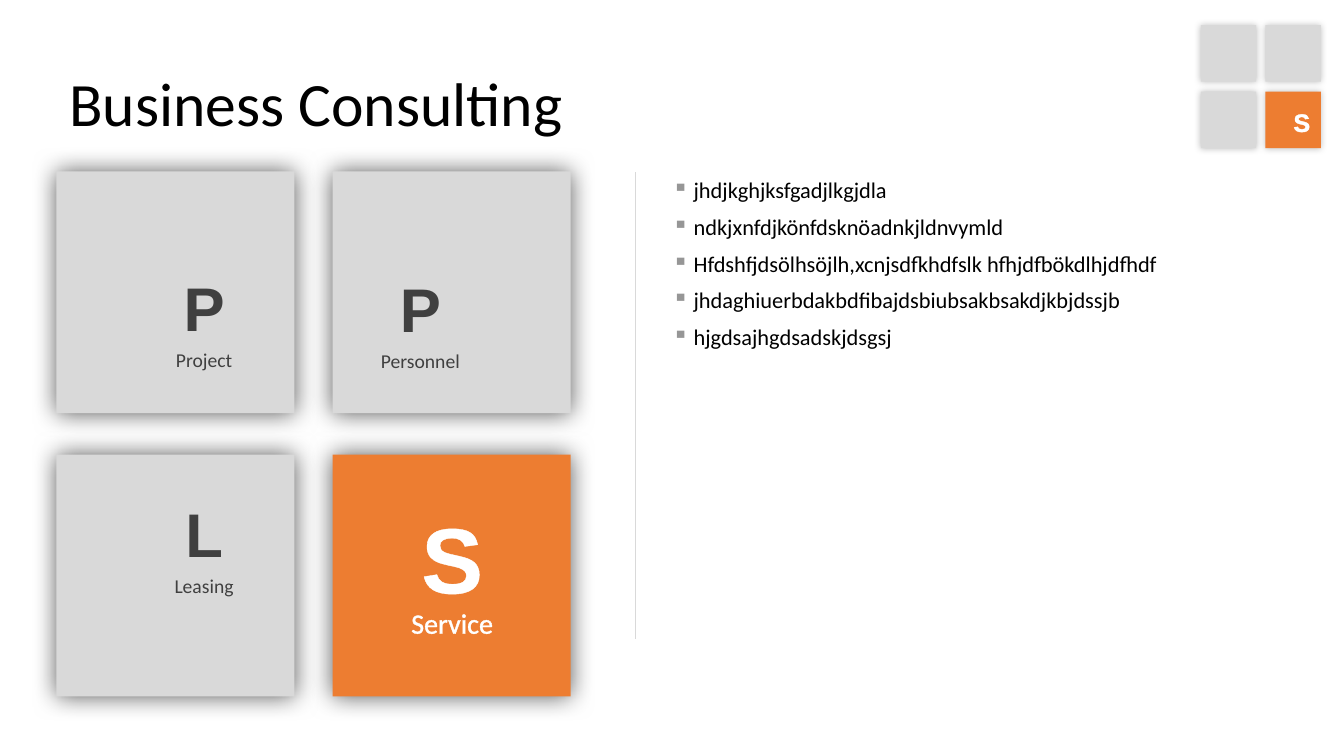
import pptx
import pptx.dml.color
import pptx.enum.shapes
import pptx.enum.text
import pptx.oxml
import pptx.oxml.ns
import pptx.util
from lxml import etree

RGBColor = pptx.dml.color.RGBColor
Inches = pptx.util.Inches
Pt = pptx.util.Pt
qn = pptx.oxml.ns.qn
ALIGN = pptx.enum.text.PP_ALIGN
ANCHOR = pptx.enum.text.MSO_ANCHOR
AUTO_SIZE = pptx.enum.text.MSO_AUTO_SIZE
RECTANGLE = pptx.enum.shapes.MSO_SHAPE.RECTANGLE
STRAIGHT = pptx.enum.shapes.MSO_CONNECTOR.STRAIGHT

GREY = RGBColor(0xD9, 0xD9, 0xD9)
ORANGE = RGBColor(0xED, 0x7D, 0x31)
DARK = RGBColor(0x40, 0x40, 0x40)
BULLET_GREY = RGBColor(0x96, 0x96, 0x96)
BLACK = RGBColor(0, 0, 0)
WHITE = RGBColor(0xFF, 0xFF, 0xFF)

TILE_LABELS = [
    ("P", "Project", 1.465, 0.93),
    ("P", "Personnel", 0.87, 0.94),
    ("L", "Leasing", 1.465, 0.36),
    ("S", "Service", 1.185, 0.41),
]
BULLETS = [
    "jhdjkghjksfgadjlkgjdla",
    "ndkjxnfdjkönfdsknöadnkjldnvymld",
    "Hfdshfjdsölhsöjlh,xcnjsdfkhdfslk hfhjdfbökdlhjdfhdf",
    "jhdaghiuerbdakbdfibajdsbiubsakbsakdjkbjdssjb",
    "hjgdsajhgdsadskjdsgsj",
]


def add_child(parent, tag, **attributes):
    return etree.SubElement(parent, qn(tag), attributes)


def add_color(parent, color, tag="a:solidFill"):
    return add_child(add_child(parent, tag), "a:srgbClr", val=str(color))


def set_font(paragraph, size, color, name="Calibri", bold=False):
    font = paragraph.font
    font.size = Pt(size)
    font.name = name
    font.bold = bold
    font.color.rgb = color


def outline_text(paragraph, color):
    line = etree.Element(qn("a:ln"), w=str(Pt(0.75)))
    add_color(line, color)
    paragraph._p.pPr.find(qn("a:defRPr")).insert(0, line)


def add_text_box(shapes, left, top, width, height):
    box = shapes.add_textbox(Inches(left), Inches(top), Inches(width), Inches(height))
    box.text_frame.word_wrap = True
    return box.text_frame


def add_caption(shapes, text, center, top, width, height, size, color, **font):
    frame = add_text_box(shapes, center - width / 2, top, width, height)
    frame.auto_size = AUTO_SIZE.SHAPE_TO_FIT_TEXT
    paragraph = frame.paragraphs[0]
    paragraph.text = text
    paragraph.alignment = ALIGN.CENTER
    set_font(paragraph, size, color, **font)
    if color == WHITE:
        outline_text(paragraph, WHITE)


def add_tile(shapes, left, top, width, height, color, blur, opacity):
    tile = shapes.add_shape(RECTANGLE, Inches(left), Inches(top), Inches(width), Inches(height))
    tile.fill.solid()
    tile.fill.fore_color.rgb = color
    tile.line.fill.background()
    tile.shadow.inherit = False
    effects = tile._element.spPr.find(qn("a:effectLst"))
    shadow = add_child(effects, "a:outerShdw", blurRad=str(Pt(blur)), dist="0",
                       dir="0", algn="ctr", rotWithShape="0")
    shadow_color = add_child(shadow, "a:srgbClr", val=str(BLACK))
    add_child(shadow_color, "a:alpha", val=str(opacity * 1000))


def add_tile_grid(shapes, left, top, width, height, step_x, step_y, blur, opacity):
    corners = [(left + column * step_x, top + row * step_y)
               for row in range(2) for column in range(2)]
    for index, (x, y) in enumerate(corners):
        color = ORANGE if index == 3 else GREY
        add_tile(shapes, x, y, width, height, color, blur, opacity)
    return corners


def add_service_tiles(slide, left, top):
    shapes = slide.shapes.add_group_shape().shapes
    corners = add_tile_grid(shapes, left, top, 2.36, 2.4, 2.74, 2.81, 18, 66)
    for (x, y), (letter, label, center, offset) in zip(corners, TILE_LABELS):
        if label == "Service":
            color, letter_size, letter_height, label_size, label_height, gap = WHITE, 66, 1.21, 20, 0.44, 1.04
        else:
            color, letter_size, letter_height, label_size, label_height, gap = DARK, 44, 0.84, 14, 0.34, 0.77
        add_caption(shapes, letter, x + center, y + offset, 0.91, letter_height,
                    letter_size, color, name="Arial", bold=True)
        add_caption(shapes, label, x + center, y + offset + gap, 1.83, label_height,
                    label_size, color)


def add_corner_tiles(slide, left, top):
    shapes = slide.shapes.add_group_shape().shapes
    add_tile_grid(shapes, left, top, 0.55, 0.56, 0.64, 0.66, 5, 25)
    add_caption(shapes, "S", left + 0.925, top + 0.76, 0.21, 0.4, 18, WHITE,
                name="Arial", bold=True)


def add_bullet_list(slide, left, top, width, height):
    frame = add_text_box(slide.shapes, left, top, width, height)
    frame.margin_left, frame.margin_top = 0, Inches(0.12)
    frame.margin_right, frame.margin_bottom = Inches(0.16), Inches(0.08)
    for index, text in enumerate(BULLETS):
        paragraph = frame.add_paragraph() if index else frame.paragraphs[0]
        paragraph.text = text
        properties = paragraph._p.get_or_add_pPr()
        properties.set("marL", str(Inches(0.21)))
        properties.set("indent", str(Inches(-0.21)))
        add_color(properties, BULLET_GREY, "a:buClr")
        add_child(properties, "a:buChar", char="▪")
        paragraph.line_spacing = 0.95
        paragraph.space_after = Pt(8)
        set_font(paragraph, 16, BLACK)


def add_divider(slide, x, top, bottom):
    divider = slide.shapes.add_connector(STRAIGHT, Inches(x), Inches(top), Inches(x), Inches(bottom))
    divider.line.color.rgb = GREY
    divider.line.width = Pt(0.75)
    add_child(divider._element.spPr, "a:effectLst")


def add_title(slide, left, top, width, height):
    frame = add_text_box(slide.shapes, left, top, width, height)
    frame.vertical_anchor = ANCHOR.MIDDLE
    paragraph = frame.paragraphs[0]
    paragraph.text = "Business Consulting"
    paragraph.line_spacing = 0.9
    set_font(paragraph, 44, BLACK)


def main():
    presentation = pptx.Presentation()
    presentation.slide_width = Inches(13.33)
    presentation.slide_height = Inches(7.5)
    slide = presentation.slides.add_slide(presentation.slide_layouts[6])
    add_service_tiles(slide, 0.56, 1.7)
    add_bullet_list(slide, 6.67, 1.65, 6.07, 4.69)
    add_divider(slide, 6.3, 1.71, 6.34)
    add_corner_tiles(slide, 11.91, 0.25)
    add_title(slide, 0.59, 0.47, 12.15, 1.18)
    presentation.save("out.pptx")


if __name__ == "__main__":
    main()
